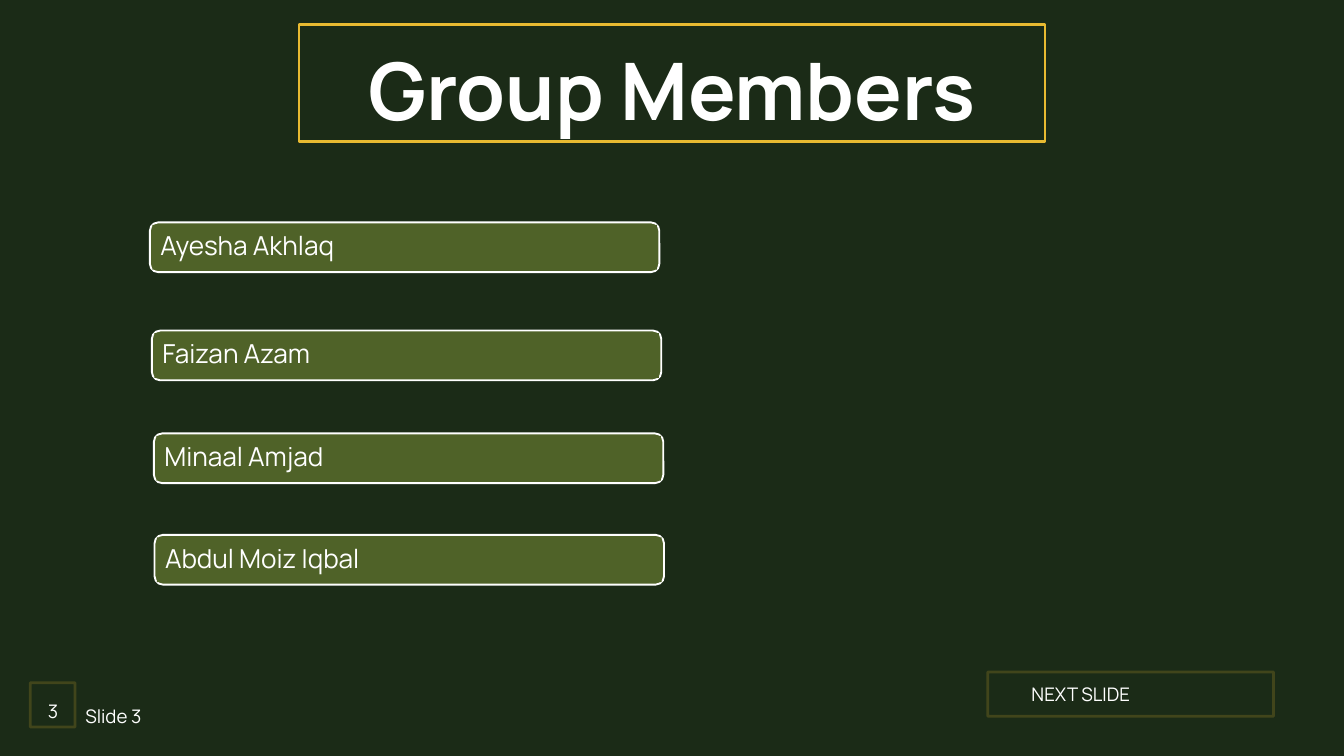
from lxml import etree
from pptx import Presentation
from pptx import util as u
from pptx.dml.color import RGBColor
from pptx.enum import shapes, text
from pptx.oxml import ns

NIGHT, GOLD, OLIVE, WHITE = "1B2B17", "E8BA31", "4F6228", "FFFFFF"


def paint(fill, color):
    fill.solid()
    fill.fore_color.rgb = RGBColor.from_string(color)


def assign(target, values):
    for name, value in values.items():
        setattr(target, name, value)


class Sketch:
    font = "Manrope"

    def __init__(self, page):
        self.page = page

    def shape(self, kind, place, color, line=None, weight=0):
        box = self.page.shapes.add_shape(kind, *map(u.Pt, place))
        box.shadow.inherit = False
        paint(box.fill, color)
        if line:
            paint(box.line.fill, line)
            box.line.width = u.Pt(weight)
        else:
            box.line.fill.background()
        return box

    def frame(self, place, opacity=100):
        box = self.shape(shapes.MSO_SHAPE.RECTANGLE, place, NIGHT, GOLD, 3)
        if opacity < 100:
            for color in box.element.spPr.iter(ns.qn("a:srgbClr")):
                etree.SubElement(color, ns.qn("a:alpha"), val=str(opacity * 1000))

    def fill_text(self, box, words, size, spacing, inset=0, bold=False,
                  align=text.PP_ALIGN.LEFT, anchor=text.MSO_ANCHOR.TOP):
        margins = ("margin_left", "margin_top", "margin_right", "margin_bottom")
        assign(box.text_frame, dict.fromkeys(margins, u.Pt(inset)))
        assign(box.text_frame, {"word_wrap": True, "vertical_anchor": anchor})
        para = box.text_frame.paragraphs[0]
        assign(para, {"alignment": align, "line_spacing": spacing})
        span = para.add_run()
        span.text = words
        assign(span.font, {"name": self.font, "size": u.Pt(size), "bold": bold})
        paint(span.font.fill, WHITE)

    def label(self, place, words, size, spacing, **style):
        box = self.page.shapes.add_textbox(*map(u.Pt, place))
        self.fill_text(box, words, size, u.Pt(spacing), **style)

    def member(self, left, top, name):
        self.shape(shapes.MSO_SHAPE.ROUNDED_RECTANGLE,
                   (left, top, 545.8, 53.3), OLIVE, WHITE, 2)
        panel = self.shape(shapes.MSO_SHAPE.RECTANGLE,
                           (left + 2.6, top + 2.6, 540.6, 48.1), OLIVE)
        self.fill_text(panel, name, 28, 0.9, 8.6, anchor=text.MSO_ANCHOR.MIDDLE)


def main():
    deck = Presentation()
    assign(deck, {"slide_width": u.Pt(1440), "slide_height": u.Pt(810)})
    sketch = Sketch(deck.slides.add_slide(deck.slide_layouts[6]))
    paint(sketch.page.background.fill, NIGHT)

    sketch.frame((1058.4, 720, 306, 47.5), 19)
    sketch.frame((32.4, 731.5, 48, 47.5), 19)
    sketch.frame((320.4, 26.6, 799.2, 125.3))

    center = text.PP_ALIGN.CENTER
    sketch.label((1105.2, 727.2, 213, 28), "NEXT SLIDE", 20, 28)
    sketch.label((91.4, 745.2, 100, 32), "Slide 3", 20, 34)
    sketch.label((43.2, 740.2, 27.4, 32), "3", 20, 34, align=center)
    sketch.label((365.8, 27.4, 707.8, 114.5), "Group Members", 85, 119,
                 bold=True, align=center)

    members = [
        (160.6, 238.3, "Ayesha Akhlaq"),
        (162.7, 354.2, "Faizan Azam"),
        (164.9, 464.4, "Minaal Amjad"),
        (165.6, 573.1, "Abdul Moiz Iqbal"),
    ]
    for left, top, name in members:
        sketch.member(left, top, name)

    deck.save("out.pptx")


if __name__ == "__main__":
    main()
